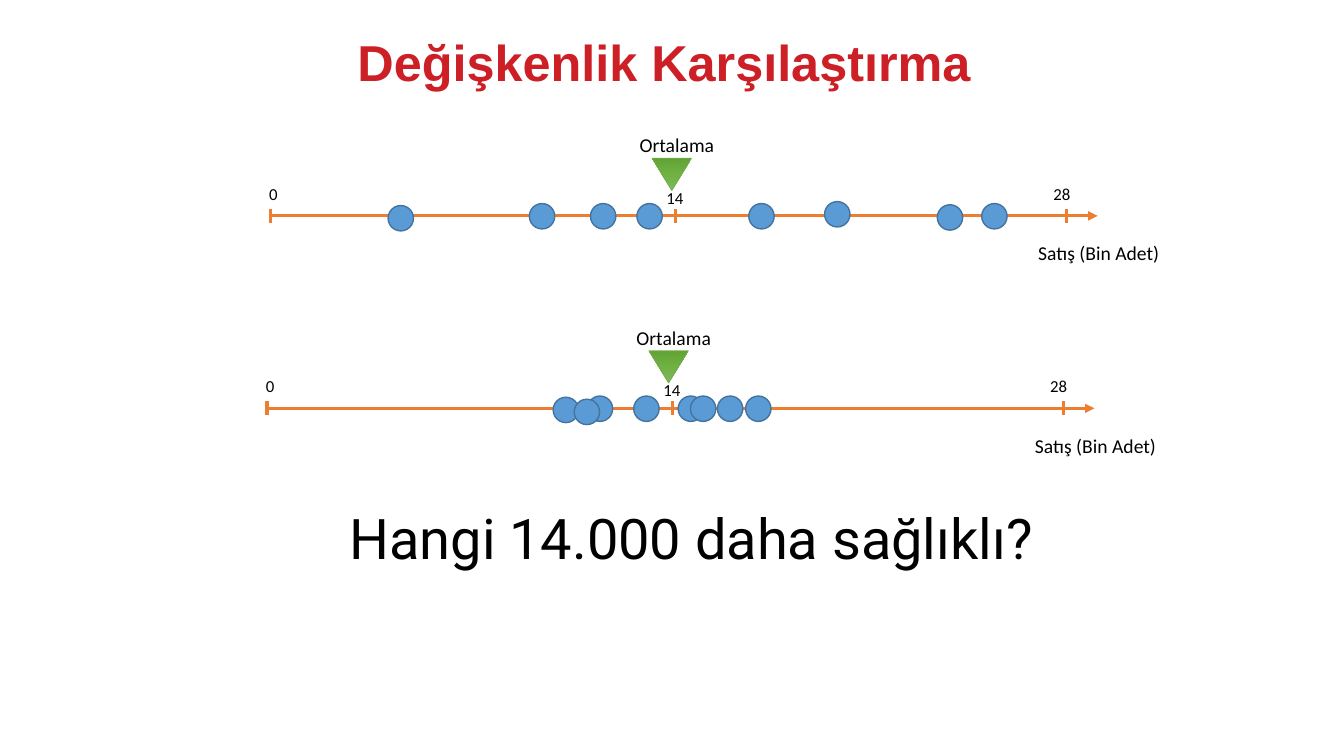
from copy import deepcopy

from lxml.etree import SubElement
from pptx import Presentation
from pptx.dml.color import RGBColor
from pptx.enum.shapes import MSO_CONNECTOR, MSO_SHAPE
from pptx.enum.text import MSO_ANCHOR, MSO_AUTO_SIZE, PP_ALIGN
from pptx.oxml.ns import qn
from pptx.util import Cm, Pt

TITLE = "Değişkenlik Karşılaştırma"
QUESTION = "Hangi 14.000 daha sağlıklı?"
MEAN_LABEL = "Ortalama"
UNIT_LABEL = "Satış (Bin Adet)"

SALES_LINES = [
    {
        "start": (6.81, 5.44),
        "dots": [(12.38, 0.01), (6.85, 0.01), (8.39, 0.01), (17.13, 0.04),
                 (14.29, -0.04), (18.25, 0.01), (3.29, 0.06), (9.56, 0.01)],
    },
    {
        "start": (6.73, 10.29),
        "dots": [(12.38, 0.01), (7.53, 0.04), (8.39, 0.01), (11.67, 0.01),
                 (10.68, 0.01), (10.99, 0.01), (8.06, 0.09), (9.56, 0.01)],
    },
]
TICKS = [(10.21, "14", 10.2, -0.84), (0, "0", 0.08, -0.94), (20.07, "28", 19.95, -0.94)]
AXIS_LENGTH = 20.85
TICK_HALF = 0.18
DOT_SIZE = 0.64
MARKER_WIDTH, MARKER_HEIGHT = 0.99, 0.81

COLORS = {
    "title": "CD1F26", "text": "000000", "axis": "ED7D31",
    "dot": "5B9BD5", "dot_edge": "43739E", "marker_edge": "70AD47",
    "marker_light": "81B861", "marker_mid": "6FB242", "marker_dark": "62A336",
}


def color(name):
    return RGBColor.from_string(COLORS[name])


def add_text(slide, text, center, top, width, height, size, font="Calibri"):
    box = slide.shapes.add_textbox(Cm(center - width / 2), Cm(top), Cm(width), Cm(height))
    frame = box.text_frame
    frame.word_wrap = False
    frame.auto_size = MSO_AUTO_SIZE.SHAPE_TO_FIT_TEXT
    paragraph = frame.paragraphs[0]
    paragraph.text = text
    paragraph.alignment = PP_ALIGN.CENTER
    paragraph.font.size = Pt(size)
    paragraph.font.name = font
    paragraph.font.color.rgb = color("text")
    return frame


def add_line(slide, x1, y1, x2, y2, arrow=False):
    line = slide.shapes.add_connector(MSO_CONNECTOR.STRAIGHT, Cm(x1), Cm(y1), Cm(x2), Cm(y2))
    line.line.color.rgb = color("axis")
    line.line.width = Pt(2.25)
    properties = line._element.spPr
    if arrow:
        SubElement(properties.find(qn("a:ln")), qn("a:tailEnd"), type="triangle")
    SubElement(properties, qn("a:effectLst"))


def add_marked_shape(slide, kind, center, top, width, height, rotation, edge, edge_width):
    shape = slide.shapes.add_shape(
        kind, Cm(center - width / 2), Cm(top), Cm(width), Cm(height))
    shape.rotation = rotation
    shape.shadow.inherit = False
    shape.line.color.rgb = color(edge)
    shape.line.width = Pt(edge_width)
    return shape


def add_mean_marker(slide, center, top):
    marker = add_marked_shape(slide, MSO_SHAPE.ISOSCELES_TRIANGLE, center, top,
                              MARKER_WIDTH, MARKER_HEIGHT, 180, "marker_edge", 0.5)
    marker.fill.gradient()
    marker.fill.gradient_angle = 270
    stop_list = marker._element.spPr.find(qn("a:gradFill")).find(qn("a:gsLst"))
    stop_list.insert(1, deepcopy(stop_list[0]))
    shades = ["marker_light", "marker_mid", "marker_dark"]
    for stop, position, shade in zip(marker.fill.gradient_stops, (0, 0.5, 1), shades):
        stop.position = position
        stop.color.rgb = color(shade)


def add_sales_line(slide, start, dots):
    left, axis_y = start
    add_text(slide, MEAN_LABEL, left + 10.25, axis_y - 2.21, 2.41, 0.86, 14)
    add_mean_marker(slide, left + 10.12, axis_y - 1.45)
    add_line(slide, left, axis_y, left + AXIS_LENGTH, axis_y, arrow=True)
    for tick, value, label_center, label_top in TICKS:
        x = left + tick
        add_line(slide, x, axis_y - TICK_HALF, x, axis_y + TICK_HALF)
        add_text(slide, value, left + label_center, axis_y + label_top, 0.94, 0.76, 12)
    add_text(slide, UNIT_LABEL, left + 20.88, axis_y + 0.51, 3.61, 0.86, 14)
    for x, y in dots:
        dot = add_marked_shape(slide, MSO_SHAPE.OVAL, left + x, axis_y + y - DOT_SIZE / 2,
                               DOT_SIZE, DOT_SIZE, 90, "dot_edge", 1)
        dot.fill.solid()
        dot.fill.fore_color.rgb = color("dot")


def main():
    presentation = Presentation()
    presentation.slide_width = Cm(33.87)
    presentation.slide_height = Cm(19.05)
    slide = presentation.slides.add_slide(presentation.slide_layouts[6])

    title = add_text(slide, TITLE, 16.74, 0.58, 25.4, 1.88, 36, "Arial")
    title.word_wrap = True
    title.auto_size = MSO_AUTO_SIZE.NONE
    title.vertical_anchor = MSO_ANCHOR.BOTTOM
    heading = title.paragraphs[0]
    heading.line_spacing = 0.9
    heading.font.bold = True
    heading.font.color.rgb = color("title")

    add_text(slide, QUESTION, 17.42, 12.57, 18.19, 1.96, 40, "Roboto")
    for sales_line in SALES_LINES:
        add_sales_line(slide, **sales_line)
    presentation.save("out.pptx")


if __name__ == "__main__":
    main()
